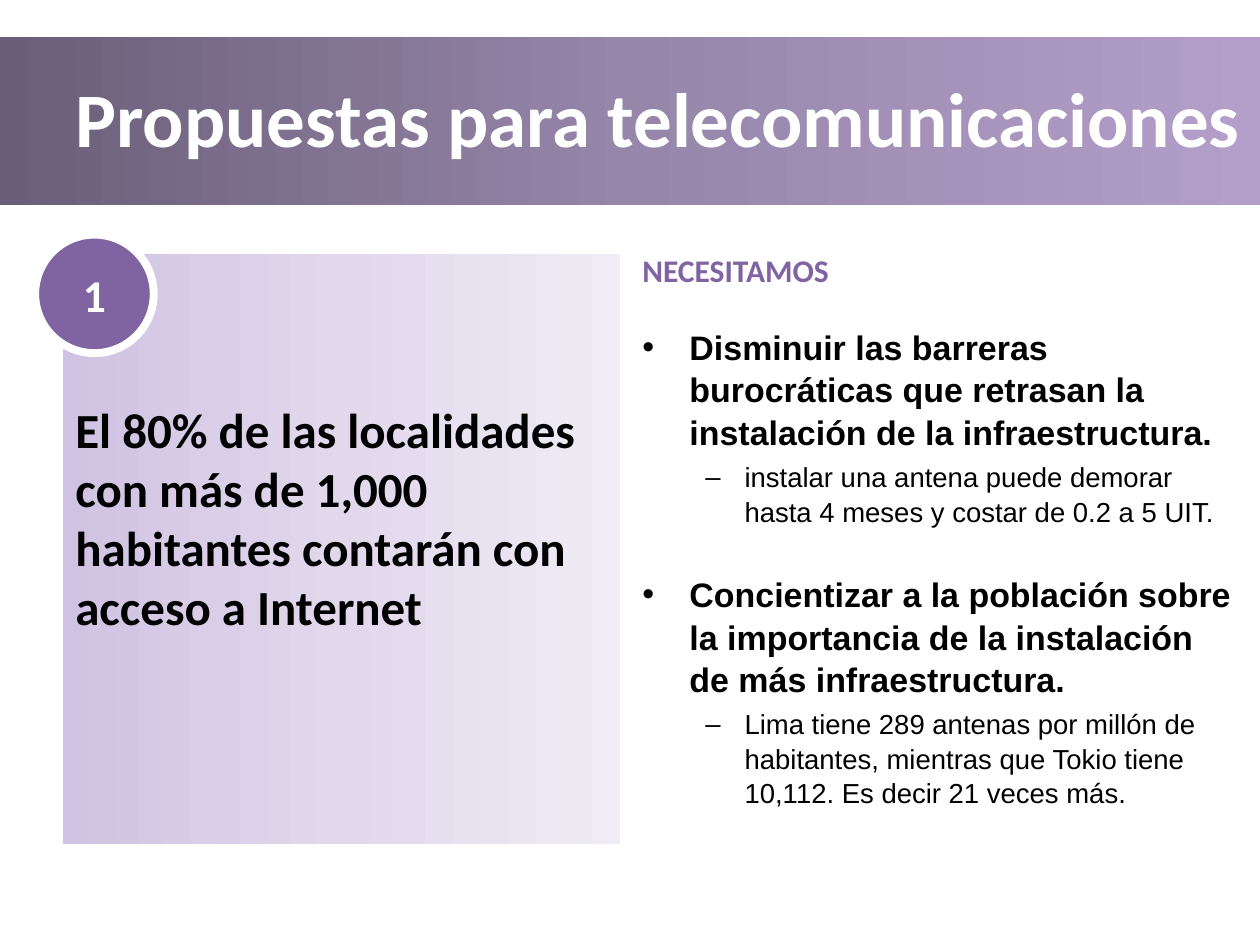
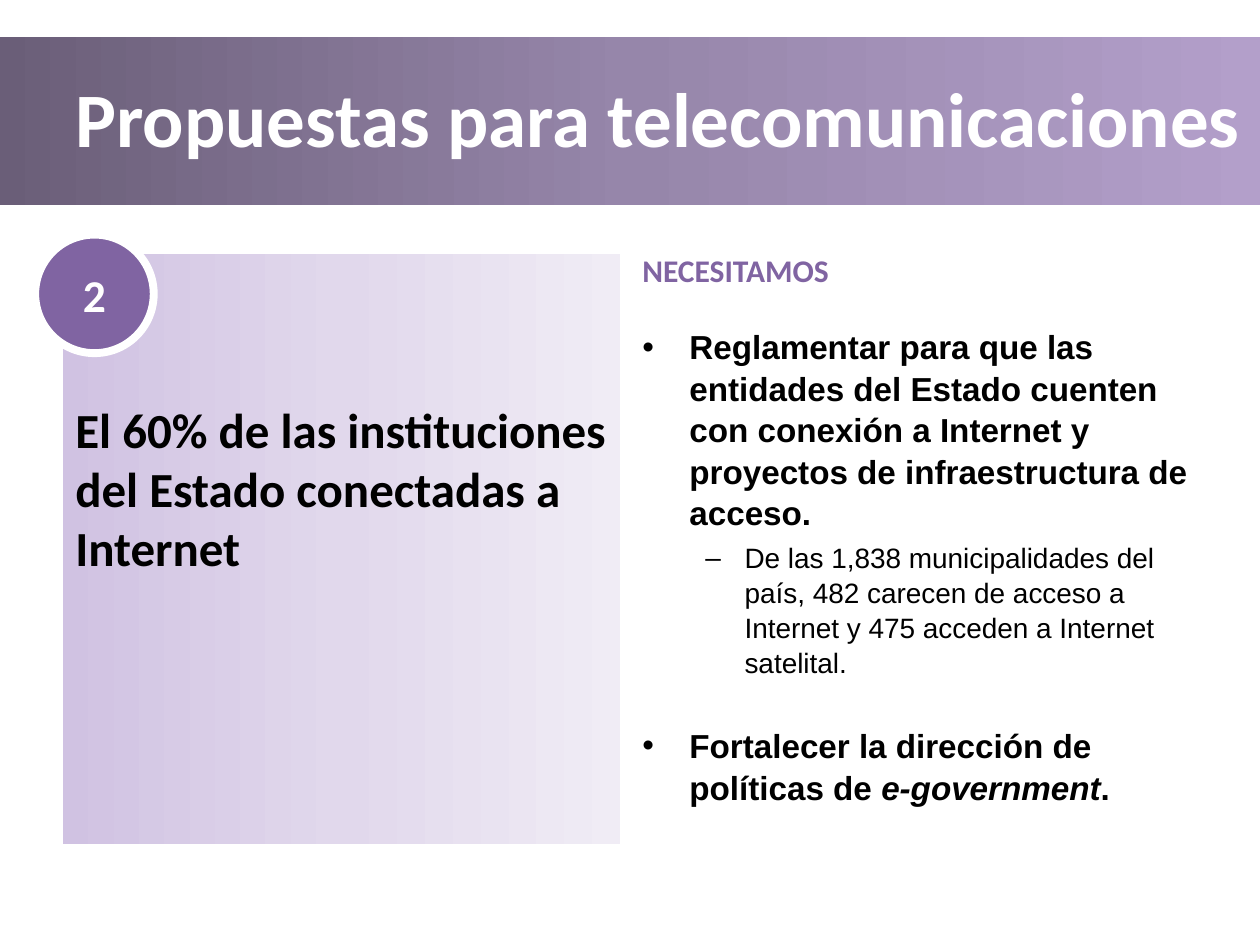
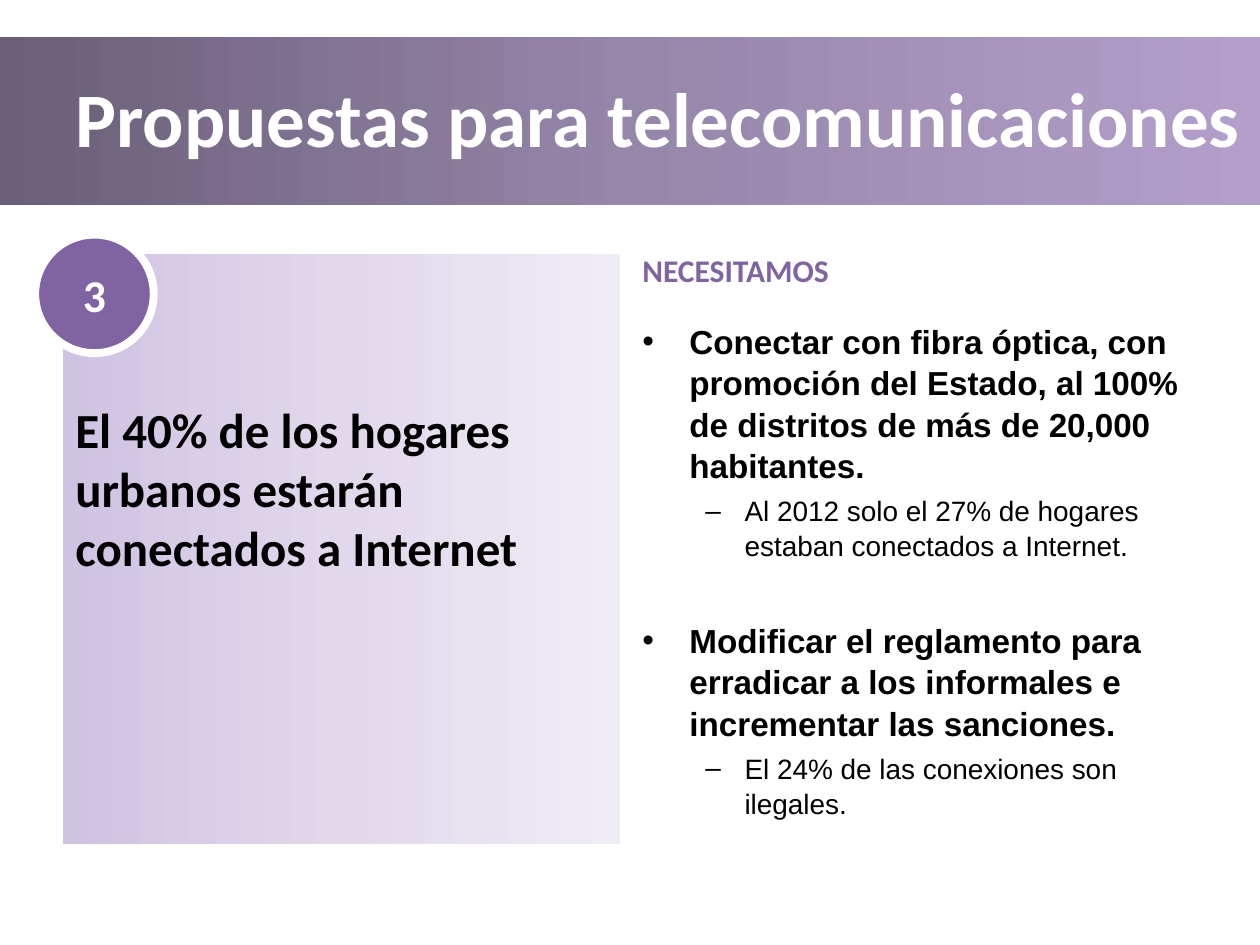
from copy import deepcopy
from dataclasses import dataclass

from lxml import etree
from pptx import Presentation
from pptx import util as u
from pptx.dml.color import RGBColor
from pptx.enum import shapes, text
from pptx.oxml import ns


@dataclass(frozen=True)
class Theme:
    heading_font: str = "Calibri"
    body_font: str = "Arial"
    white: str = "FFFFFF"
    black: str = "000000"
    accent: str = "8064A2"
    band: tuple = ("6A5E78", "9686AA", "B39FCA")
    panel: tuple = ("D0C2E2", "E1D8EC", "F0ECF5")
    title_size: float = 44
    goal_size: float = 28
    number_size: float = 26
    label_size: float = 18
    line_spacing: float = 1.04
    need_gap: float = 4


@dataclass(frozen=True)
class Box:
    left: float
    top: float
    width: float
    height: float

    def lengths(self):
        return [u.Cm(n) for n in (self.left, self.top, self.width, self.height)]


@dataclass(frozen=True)
class Level:
    bullet: str
    margin: float
    hanging: float
    bold: bool


@dataclass(frozen=True)
class Proposal:
    goal: str
    needs: tuple
    needs_box: Box
    sizes: tuple = (19, 16)
    group_gap: float = 25.5


THEME = Theme()
LEVELS = (Level("•", 0.95, 0.95, True), Level("–", 2.06, 0.79, False))
PAGE = Box(0, 0, 25.4, 19.05)
HEADER = Box(0, 0.74, 25.4, 3.4)
GOAL = Box(1.27, 5.13, 11.23, 11.89)
NEEDS_LABEL = Box(12.7, 4.93, 6.2, 1.02)

PROPOSALS = (
    Proposal(
        "El 80% de las localidades con más de 1,000 habitantes contarán con acceso a Internet",
        (
            (0, "Disminuir las barreras burocráticas que retrasan la instalación de la infraestructura."),
            (1, "instalar una antena puede demorar hasta 4 meses y costar de 0.2 a 5 UIT."),
            (0, "Concientizar a la población sobre la importancia de la instalación de más infraestructura."),
            (1, "Lima tiene 289 antenas por millón de habitantes, mientras que Tokio tiene 10,112. "
                "Es decir 21 veces más."),
        ),
        Box(12.7, 6.43, 12.4, 10.49),
        sizes=(19.4, 15.7),
    ),
    Proposal(
        "El 60% de las instituciones del Estado conectadas a Internet",
        (
            (0, "Reglamentar para que las entidades del Estado cuenten con conexión a Internet "
                "y proyectos de infraestructura de acceso."),
            (1, "De las 1,838 municipalidades del país, 482 carecen de acceso a Internet "
                "y 475 acceden a Internet satelital."),
            (0, "Fortalecer la dirección de políticas de *e-government*."),
        ),
        Box(12.7, 6.43, 11.61, 10.49),
    ),
    Proposal(
        "El 40% de los hogares urbanos estarán conectados a Internet",
        (
            (0, "Conectar con fibra óptica, con promoción del Estado, al 100% de distritos "
                "de más de 20,000 habitantes."),
            (1, "Al 2012 solo el 27% de hogares estaban conectados a Internet."),
            (0, "Modificar el reglamento para erradicar a los informales e incrementar las sanciones."),
            (1, "El 24% de las conexiones son ilegales."),
        ),
        Box(12.7, 6.32, 11.3, 10.9),
        group_gap=32,
    ),
)


def style_runs(paragraph, font, size, color, bold=True):
    for run in paragraph.runs:
        run.font.name = font
        run.font.size = u.Pt(size)
        run.font.bold = bold
        run.font.color.rgb = RGBColor.from_string(color)


def write_heading(frame, words, size, color, align=text.PP_ALIGN.LEFT):
    frame.word_wrap = True
    frame.text = words
    heading = frame.paragraphs[0]
    heading.alignment = align
    style_runs(heading, THEME.heading_font, size, color)


def add_plain_shape(slide, kind, box):
    plain = slide.shapes.add_shape(kind, *box.lengths())
    plain.shadow.inherit = False
    plain.line.fill.background()
    return plain


def add_gradient_panel(slide, box, colors):
    panel = add_plain_shape(slide, shapes.MSO_SHAPE.RECTANGLE, box)
    panel.fill.gradient()
    panel.fill.gradient_angle = 0
    stop_list = panel._element.spPr.find(".//" + ns.qn("a:gsLst"))
    stop_list.insert(1, deepcopy(stop_list[0]))
    for index, (stop, color) in enumerate(zip(panel.fill.gradient_stops, colors)):
        stop.position = index / (len(colors) - 1)
        stop.color.rgb = RGBColor.from_string(color)
    return panel


def add_header(slide, box):
    add_gradient_panel(slide, box, THEME.band)
    title_box = Box(box.left + 1.27, box.top + 0.02, box.width - 1.27, box.height - 0.22)
    title = slide.shapes.add_textbox(*title_box.lengths()).text_frame
    title.vertical_anchor = text.MSO_ANCHOR.MIDDLE
    write_heading(title, "Propuestas para telecomunicaciones", THEME.title_size, THEME.white)


def add_goal(slide, box, number, words):
    goal = add_gradient_panel(slide, box, THEME.panel).text_frame
    goal.vertical_anchor = text.MSO_ANCHOR.TOP
    goal.margin_top = u.Cm(2.93)
    write_heading(goal, words, THEME.goal_size, THEME.black)

    badge_box = Box(box.left - 0.56, box.top - 0.4, 2.39, 2.39)
    badge = add_plain_shape(slide, shapes.MSO_SHAPE.OVAL, badge_box)
    badge.fill.solid()
    badge.fill.fore_color.rgb = RGBColor.from_string(THEME.accent)
    badge.line.color.rgb = RGBColor.from_string(THEME.white)
    badge.line.width = u.Pt(4.5)
    badge.text_frame.vertical_anchor = text.MSO_ANCHOR.MIDDLE
    write_heading(badge.text_frame, str(number), THEME.number_size, THEME.white,
                  text.PP_ALIGN.CENTER)


def set_bullet(paragraph, level):
    properties = paragraph._p.get_or_add_pPr()
    properties.set("marL", str(u.Cm(level.margin)))
    properties.set("indent", str(-u.Cm(level.hanging)))
    etree.SubElement(properties, ns.qn("a:buFont"), typeface=THEME.body_font)
    etree.SubElement(properties, ns.qn("a:buChar"), char=level.bullet)


def add_needs(slide, label_box, proposal):
    label = slide.shapes.add_textbox(*label_box.lengths()).text_frame
    write_heading(label, "NECESITAMOS", THEME.label_size, THEME.accent)

    needs = slide.shapes.add_textbox(*proposal.needs_box.lengths()).text_frame
    needs.word_wrap = True
    for index, (depth, words) in enumerate(proposal.needs):
        need = needs.add_paragraph() if index else needs.paragraphs[0]
        need.level = depth
        need.line_spacing = THEME.line_spacing
        starts_group = index > 0 and depth == 0
        need.space_before = u.Pt(proposal.group_gap if starts_group else THEME.need_gap)
        set_bullet(need, LEVELS[depth])
        for part_index, part in enumerate(words.split("*")):
            run = need.add_run()
            run.text = part
            run.font.italic = part_index % 2 == 1
        style_runs(need, THEME.body_font, proposal.sizes[depth], THEME.black, LEVELS[depth].bold)


def add_proposal_slide(deck, number, proposal):
    slide = deck.slides.add_slide(deck.slide_layouts[6])
    add_header(slide, HEADER)
    add_goal(slide, GOAL, number, proposal.goal)
    add_needs(slide, NEEDS_LABEL, proposal)


def main():
    deck = Presentation()
    deck.slide_width, deck.slide_height = PAGE.lengths()[2:]
    for number, proposal in enumerate(PROPOSALS, start=1):
        add_proposal_slide(deck, number, proposal)
    deck.save("out.pptx")


if __name__ == "__main__":
    main()
